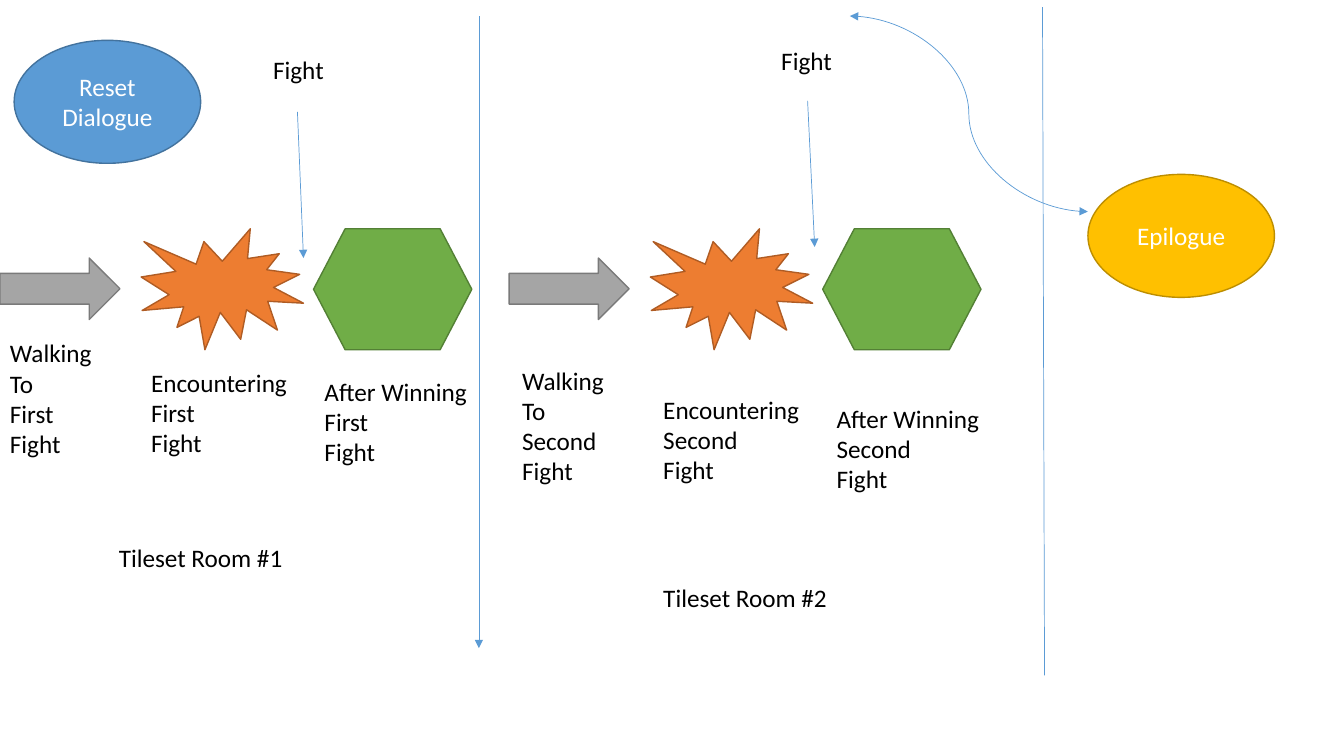
from pptx import Presentation
from pptx.dml.color import RGBColor
from pptx.enum.shapes import MSO_CONNECTOR as Connector, MSO_SHAPE as Shape
from pptx.enum.text import MSO_ANCHOR as Anchor, MSO_AUTO_SIZE as AutoSize, PP_ALIGN as Align
from pptx.oxml.ns import qn
from pptx.util import Inches, Pt
from lxml.etree import SubElement

BLACK = RGBColor(0x00, 0x00, 0x00)
WHITE = RGBColor(0xFF, 0xFF, 0xFF)
BLUE = RGBColor(0x5B, 0x9B, 0xD5)
DARK_BLUE = RGBColor(0x43, 0x73, 0x9E)
GRAY = RGBColor(0xA5, 0xA5, 0xA5)
DARK_GRAY = RGBColor(0x7A, 0x7A, 0x7A)
ORANGE = RGBColor(0xED, 0x7D, 0x31)
DARK_ORANGE = RGBColor(0xAF, 0x5C, 0x24)
GREEN = RGBColor(0x70, 0xAD, 0x47)
DARK_GREEN = RGBColor(0x53, 0x80, 0x35)
GOLD = RGBColor(0xFF, 0xC0, 0x00)
DARK_GOLD = RGBColor(0xBD, 0x8E, 0x00)

STAGES = [
    (Shape.RIGHT_ARROW, (0, 2.56, 1.19, 0.61), GRAY, DARK_GRAY),
    (Shape.EXPLOSION1, (1.4, 2.27, 1.61, 1.2), ORANGE, DARK_ORANGE),
    (Shape.FLOWCHART_PREPARATION, (3.11, 2.27, 1.57, 1.2), GREEN, DARK_GREEN),
]
CAPTIONS = [
    (["Walking", "To"], (0, 3.3, 1.08, 1.31)),
    (["Encountering"], (1.4, 3.59, 1.57, 1.01)),
    (["After Winning"], (3.12, 3.68, 1.64, 1.01)),
]
ROOMS = [
    dict(order="First", stage_x=0, caption=(0, 0), fight=(2.61, 0.49),
         arrow=((2.95, 1.11), (3.01, 2.56)), name="Tileset Room #1", name_at=(1.08, 5.33)),
    dict(order="Second", stage_x=5.05, caption=(5.08, 0.27), fight=(7.65, 0.4),
         arrow=((8.01, 1), (8.08, 2.45)), name="Tileset Room #2", name_at=(6.48, 5.73)),
]


def write_text(frame, lines, font="Calibri", size=18, color=BLACK, align=Align.LEFT):
    for number, line in enumerate(lines):
        para = frame.paragraphs[0] if number == 0 else frame.add_paragraph()
        para.alignment = align
        span = para.add_run()
        span.text = line
        span.font.name = font
        span.font.size = Pt(size)
        span.font.color.rgb = color


class FlowPage:
    """Draws story-flow elements in one style on one slide."""

    def __init__(self, page, outline=1, stroke=0.5):
        self.page = page
        self.outline = outline
        self.stroke = stroke

    def shape(self, kind, at, fill, line, text=None):
        shape = self.page.shapes.add_shape(kind, *map(Inches, at))
        shape.shadow.inherit = False
        shape.fill.solid()
        shape.fill.fore_color.rgb = fill
        shape.line.color.rgb = line
        shape.line.width = Pt(self.outline)
        if text:
            shape.text_frame.vertical_anchor = Anchor.MIDDLE
            write_text(shape.text_frame, [text], color=WHITE, align=Align.CENTER)

    def label(self, lines, at, wrap=True):
        box = self.page.shapes.add_textbox(*map(Inches, at))
        box.text_frame.word_wrap = wrap
        box.text_frame.auto_size = AutoSize.SHAPE_TO_FIT_TEXT
        write_text(box.text_frame, lines)

    def connector(self, start, end, kind=Connector.STRAIGHT, heads=()):
        connector = self.page.shapes.add_connector(kind, *map(Inches, start + end))
        connector.line.color.rgb = BLUE
        connector.line.width = Pt(self.stroke)
        outline = connector.line._get_or_add_ln()
        for head in heads:
            SubElement(outline, qn(f"a:{head}"), type="triangle")
        SubElement(connector._element.spPr, qn("a:effectLst"))


def draw_room(flow, room):
    for kind, (left, top, width, height), fill, line in STAGES:
        flow.shape(kind, (left + room["stage_x"], top, width, height), fill, line)
    shift_x, shift_y = room["caption"]
    for words, (left, top, width, height) in CAPTIONS:
        flow.label(words + [room["order"], "Fight"],
                   (left + shift_x, top + shift_y, width, height), wrap=False)
    flow.connector(*room["arrow"], heads=["tailEnd"])
    flow.label(["Fight"], room["fight"] + (1.02, 0.4))
    flow.label([room["name"]], room["name_at"] + (2.04, 0.4))


def main():
    deck = Presentation()
    deck.slide_width = Inches(13.33)
    deck.slide_height = Inches(7.5)
    flow = FlowPage(deck.slides.add_slide(deck.slide_layouts[6]))
    for room in ROOMS:
        draw_room(flow, room)
    flow.connector((4.75, 0.16), (4.75, 6.43), heads=["tailEnd"])
    flow.shape(Shape.OVAL, (0.14, 0.4, 1.85, 1.22), BLUE, DARK_BLUE, "Reset Dialogue")
    flow.connector((10.34, 0.07), (10.36, 6.7))
    flow.shape(Shape.OVAL, (10.79, 1.73, 1.85, 1.22), GOLD, DARK_GOLD, "Epilogue")
    flow.connector((10.79, 2.1), (8.43, 0.16), Connector.CURVE, ["headEnd", "tailEnd"])
    deck.save("out.pptx")


if __name__ == "__main__":
    main()
